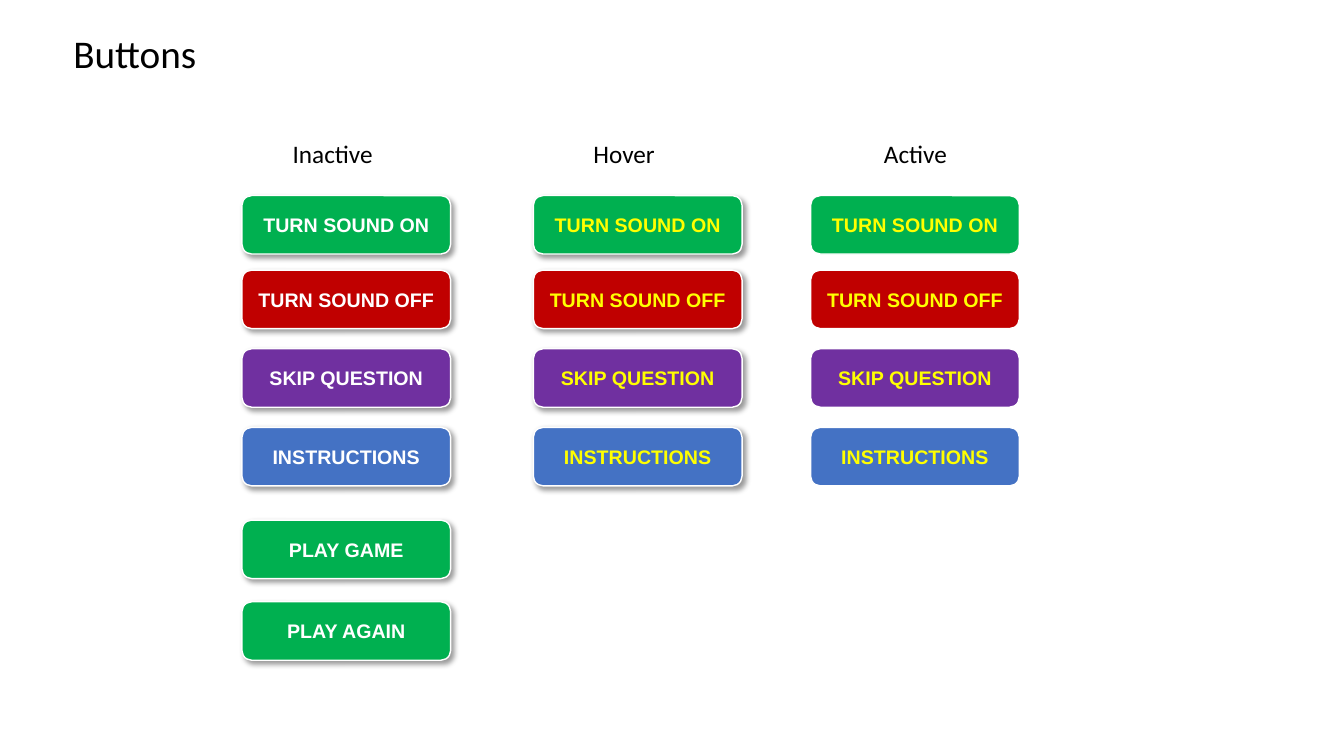
from lxml import etree
from pptx import Presentation
from pptx.dml.color import RGBColor
from pptx.enum.shapes import MSO_SHAPE
from pptx.enum.text import MSO_ANCHOR, MSO_AUTO_SIZE, PP_ALIGN
from pptx.oxml.ns import qn
from pptx.util import Inches, Pt

ROUNDED = MSO_SHAPE.ROUNDED_RECTANGLE
MIDDLE = MSO_ANCHOR.MIDDLE
GROW = MSO_AUTO_SIZE.SHAPE_TO_FIT_TEXT
LEFT, CENTER = PP_ALIGN.LEFT, PP_ALIGN.CENTER

THEME = {
    "green": "00B050", "red": "C00000", "purple": "7030A0", "blue": "4472C4",
    "white": "FFFFFF", "yellow": "FFFF00", "black": "000000",
    "title": {"name": "Calibri", "size": Pt(28), "bold": False},
    "heading": {"name": "Calibri", "size": Pt(18), "bold": False},
    "button": {"name": "Arial", "size": Pt(14), "bold": True},
}

BUTTON_WIDTH, BUTTON_HEIGHT = 2.07, 0.58
HEADING_TOP, HEADING_WIDTH, HEADING_HEIGHT = 1.32, 1.2, 0.4

# Label, fill, top
SHARED_BUTTONS = [
    ("TURN SOUND ON", "green", 1.94),
    ("TURN SOUND OFF", "red", 2.68),
    ("SKIP QUESTION", "purple", 3.46),
    ("INSTRUCTIONS", "blue", 4.24),
]
GAME_BUTTONS = [
    ("PLAY GAME", "green", 5.16),
    ("PLAY AGAIN", "green", 5.97),
]

# State, button left, heading left, text colour, raised, buttons
STATES = [
    ("Inactive", 2.4, 2.7, "white", True, SHARED_BUTTONS + GAME_BUTTONS),
    ("Hover", 5.29, 5.59, "yellow", True, SHARED_BUTTONS),
    ("Active", 8.04, 8.48, "yellow", False, SHARED_BUTTONS),
]


def write_text(box, text, style, color, alignment):
    """Put one styled line of text into a box."""
    box.text_frame.word_wrap = True
    para = box.text_frame.paragraphs[0]
    para.alignment = alignment
    span = para.add_run()
    span.text = text
    for name, value in THEME[style].items():
        setattr(span.font, name, value)
    span.font.color.rgb = RGBColor.from_string(THEME[color])


def add_shadow(button):
    """Cast a soft shadow down and to the right of a button."""
    effects = button.element.spPr.find(qn("a:effectLst"))
    settings = {"blurRad": Pt(4), "dist": Pt(3), "dir": 45 * 60000,
                "algn": "tl", "rotWithShape": 0}
    shadow = etree.SubElement(effects, qn("a:outerShdw"))
    for name, value in settings.items():
        shadow.set(name, str(value))
    color = etree.SubElement(shadow, qn("a:srgbClr"), val=THEME["black"])
    etree.SubElement(color, qn("a:alpha"), val="40000")


deck = Presentation()
deck.slide_width, deck.slide_height = Inches(13.33), Inches(7.5)
page = deck.slides.add_slide(deck.slide_layouts[6])

# Title and state headings
headings = [("Buttons", "title", LEFT, (0.63, 0.24, 3.54, 0.57))]
for state, _, heading_left, *_ in STATES:
    place = (heading_left, HEADING_TOP, HEADING_WIDTH, HEADING_HEIGHT)
    headings.append((state, "heading", CENTER, place))

for text, style, alignment, place in headings:
    box = page.shapes.add_textbox(*map(Inches, place))
    write_text(box, text, style, "black", alignment)
    box.text_frame.auto_size = GROW

# One column of buttons per state
for _, left, _, text_color, raised, buttons in STATES:
    for label, fill, top in buttons:
        place = (left, top, BUTTON_WIDTH, BUTTON_HEIGHT)
        button = page.shapes.add_shape(ROUNDED, *map(Inches, place))
        button.fill.solid()
        button.fill.fore_color.rgb = RGBColor.from_string(THEME[fill])
        button.line.color.rgb = RGBColor.from_string(THEME["white"])
        button.line.width = Pt(1)
        button.shadow.inherit = False
        if raised:
            add_shadow(button)
        button.text_frame.vertical_anchor = MIDDLE
        write_text(button, label, "button", text_color, CENTER)

deck.save("out.pptx")
